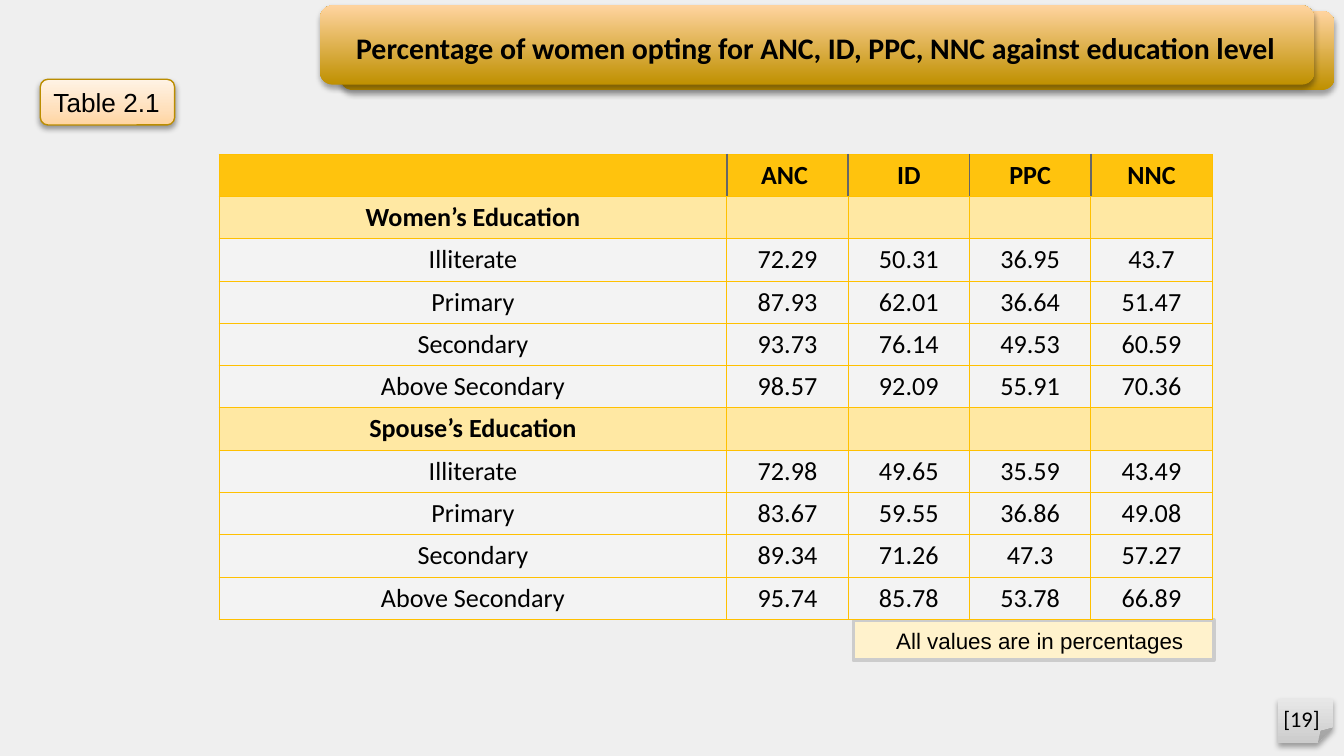
"""Build a slide with a table of maternal care uptake by education level."""
from dataclasses import dataclass

from lxml import etree
from pptx import Presentation
from pptx.dml.color import RGBColor
from pptx.enum.shapes import MSO_SHAPE
from pptx.enum.text import MSO_ANCHOR, MSO_AUTO_SIZE, PP_ALIGN
from pptx.oxml.ns import qn
from pptx.util import Pt

ROUNDED = MSO_SHAPE.ROUNDED_RECTANGLE
RECTANGLE = MSO_SHAPE.RECTANGLE
FOLDED = MSO_SHAPE.FOLDED_CORNER
LEFT, CENTER = PP_ALIGN.LEFT, PP_ALIGN.CENTER
TOP, MIDDLE = MSO_ANCHOR.TOP, MSO_ANCHOR.MIDDLE
NO_AUTOFIT = MSO_AUTO_SIZE.NONE

COLORS = {
    "background": "EFEFEF",
    "text": "000000",
    "header": "FFC30D",
    "section": "FFE8A3",
    "row": "F3F3F3",
    "border": "FFC000",
    "divider": "666666",
    "note": "FFF2CC",
    "note_line": "CCCCCC",
    "label_line": "BB8D00",
}
BANNER_STOPS = ((0, "BF9000"), (100, "FFD4A0"))
LABEL_STOPS = ((0, "FFD4A0"), (35, "FFE0BC"), (100, "FFF3E5"))
PAGE_STOPS = ((0, "CCCCCC"), (100, "E7E7E7"))

ROWS = (
    ("", "ANC ", "ID", "PPC", "NNC"),
    ("Women’s Education", "", "", "", ""),
    ("Illiterate", "72.29", "50.31", "36.95", "43.7"),
    ("Primary", "87.93", "62.01", "36.64", "51.47"),
    ("Secondary", "93.73", "76.14", "49.53", "60.59"),
    ("Above Secondary", "98.57", "92.09", "55.91", "70.36"),
    ("Spouse’s Education", "", "", "", ""),
    ("Illiterate", "72.98", "49.65", "35.59", "43.49"),
    ("Primary", "83.67", "59.55", "36.86", "49.08"),
    ("Secondary", "89.34", "71.26", "47.3", "57.27"),
    ("Above Secondary", "95.74", "85.78", "53.78", "66.89"),
)
COLUMN_WIDTHS = (272, 65, 65, 65, 65)
ROW_HEIGHT = 22.65


@dataclass(frozen=True)
class Box:
    left: float
    top: float
    width: float
    height: float

    def lengths(self) -> tuple:
        return Pt(self.left), Pt(self.top), Pt(self.width), Pt(self.height)


@dataclass(frozen=True)
class Panel:
    box: Box
    kind: int
    stops: tuple = ()
    fill: str = ""
    line: str = ""
    line_width: float = 0
    shadow_alpha: int = 0
    corner: int = 0


@dataclass(frozen=True)
class Caption:
    box: Box
    text: str
    size: float
    font: str
    bold: bool = False


BANNER_BOXES = (Box(182.2, 5.8, 532.8, 42.5), Box(171.4, 2.9, 532.8, 42.5))
BANNERS = tuple(
    Panel(box, ROUNDED, BANNER_STOPS, shadow_alpha=35) for box in BANNER_BOXES
)
NOTE = Panel(Box(457.2, 332.2, 193, 21.6), RECTANGLE, fill="note",
             line="note_line", line_width=2)
LABEL = Panel(Box(21.6, 42.5, 72, 24.5), ROUNDED, LABEL_STOPS,
              line="label_line", line_width=0.75, shadow_alpha=38)
PAGE = Panel(Box(684.7, 374.4, 29.5, 23.8), FOLDED, PAGE_STOPS,
             shadow_alpha=35, corner=34800)

TITLE = Caption(
    Box(183.6, 12.2, 532, 26.6),
    "Percentage of women opting for ANC, ID, PPC, NNC against education level",
    16, "Calibri", True,
)
CAPTIONS = (
    Caption(Box(473, 332.2, 181.4, 21.6), "All values are in percentages", 12, "Arial"),
    Caption(Box(21.6, 42.5, 95.8, 24.5), "Table 2.1", 14, "Arial"),
)
PAGE_NUMBER = Caption(Box(680.4, 374.4, 39, 21.6), "[19]", 12, "Calibri")


def color(name: str) -> RGBColor:
    return RGBColor.from_string(COLORS[name])


def add_color(parent, value: str):
    return etree.SubElement(parent, qn("a:srgbClr"), val=value)


def set_gradient(shape, stops: tuple) -> None:
    shape.fill.gradient()
    shape.fill.gradient_angle = 90
    stop_list = next(shape.element.spPr.iter(qn("a:gsLst")))
    for stop in list(stop_list):
        stop_list.remove(stop)
    for position, value in stops:
        stop = etree.SubElement(stop_list, qn("a:gs"), pos=str(position * 1000))
        add_color(stop, value)


def set_corner(shape, corner: int) -> None:
    guides = next(shape.element.spPr.iter(qn("a:avLst")))
    etree.SubElement(guides, qn("a:gd"), name="adj", fmla=f"val {corner}")


def add_shadow(shape, alpha: int) -> None:
    effects = shape.element.spPr.find(qn("a:effectLst"))
    shadow = etree.SubElement(
        effects, qn("a:outerShdw"), blurRad=str(Pt(3.1)), dist=str(Pt(1.8)),
        dir="5400000", rotWithShape="0",
    )
    etree.SubElement(add_color(shadow, COLORS["text"]), qn("a:alpha"),
                     val=str(alpha * 1000))


def add_panel(slide, panel: Panel) -> None:
    shape = slide.shapes.add_shape(panel.kind, *panel.box.lengths())
    if panel.corner:
        set_corner(shape, panel.corner)
    if panel.stops:
        set_gradient(shape, panel.stops)
    else:
        shape.fill.solid()
        shape.fill.fore_color.rgb = color(panel.fill)
    if panel.line:
        shape.line.color.rgb = color(panel.line)
        shape.line.width = Pt(panel.line_width)
    else:
        shape.line.fill.background()
    shape.shadow.inherit = False
    if panel.shadow_alpha:
        add_shadow(shape, panel.shadow_alpha)


def format_text(text_frame, size: float, font: str, bold: bool, alignment) -> None:
    for paragraph in text_frame.paragraphs:
        paragraph.alignment = alignment
        for run in paragraph.runs:
            run.font.size = Pt(size)
            run.font.name = font
            run.font.bold = bold
            run.font.color.rgb = color("text")


def fill_caption(shape, caption: Caption) -> None:
    shape.left, shape.top, shape.width, shape.height = caption.box.lengths()
    text_frame = shape.text_frame
    text_frame.text = caption.text
    text_frame.word_wrap = False
    text_frame.auto_size = NO_AUTOFIT
    text_frame.vertical_anchor = TOP
    format_text(text_frame, caption.size, caption.font, caption.bold, LEFT)


def add_caption(slide, caption: Caption) -> None:
    fill_caption(slide.shapes.add_textbox(*caption.box.lengths()), caption)


def set_borders(cell, dividers: str) -> None:
    properties = cell._tc.get_or_add_tcPr()
    for index, side in enumerate("LRTB"):
        name, width = ("divider", 1) if side in dividers else ("border", 0.5)
        line = etree.Element(qn(f"a:ln{side}"), w=str(Pt(width)))
        add_color(etree.SubElement(line, qn("a:solidFill")), COLORS[name])
        properties.insert(index, line)


def fill_cell(cell, text: str, fill: str, dividers: str) -> None:
    cell.text_frame.text = text
    cell.vertical_anchor = MIDDLE
    cell.margin_left = cell.margin_right = cell.margin_top = cell.margin_bottom = 0
    format_text(cell.text_frame, 14, "Calibri", fill != "row", CENTER)
    cell.fill.solid()
    cell.fill.fore_color.rgb = color(fill)
    set_borders(cell, dividers)


def add_education_table(slide) -> None:
    box = Box(117.4, 82.6, sum(COLUMN_WIDTHS), ROW_HEIGHT * len(ROWS))
    table = slide.shapes.add_table(len(ROWS), len(COLUMN_WIDTHS), *box.lengths()).table
    table.first_row = table.horz_banding = False
    for column, width in zip(table.columns, COLUMN_WIDTHS):
        column.width = Pt(width)
    header_dividers = ("R", "LR", "LR", "LR", "L")
    for row, values in zip(table.rows, ROWS):
        row.height = Pt(ROW_HEIGHT)
        is_header = values is ROWS[0]
        fill = "header" if is_header else "row" if values[1] else "section"
        for cell, value, dividers in zip(row.cells, values, header_dividers):
            fill_cell(cell, value, fill, dividers if is_header else "")


def main() -> None:
    presentation = Presentation()
    presentation.slide_width, presentation.slide_height = Pt(720), Pt(405)
    slide = presentation.slides.add_slide(presentation.slide_layouts[5])
    slide.background.fill.solid()
    slide.background.fill.fore_color.rgb = color("background")
    for panel in (NOTE, *BANNERS):
        add_panel(slide, panel)
    add_education_table(slide)
    add_panel(slide, LABEL)
    for caption in CAPTIONS:
        add_caption(slide, caption)
    title = slide.shapes.title
    fill_caption(title, TITLE)
    title.element.getparent().append(title.element)
    add_panel(slide, PAGE)
    add_caption(slide, PAGE_NUMBER)
    presentation.save("out.pptx")


if __name__ == "__main__":
    main()
